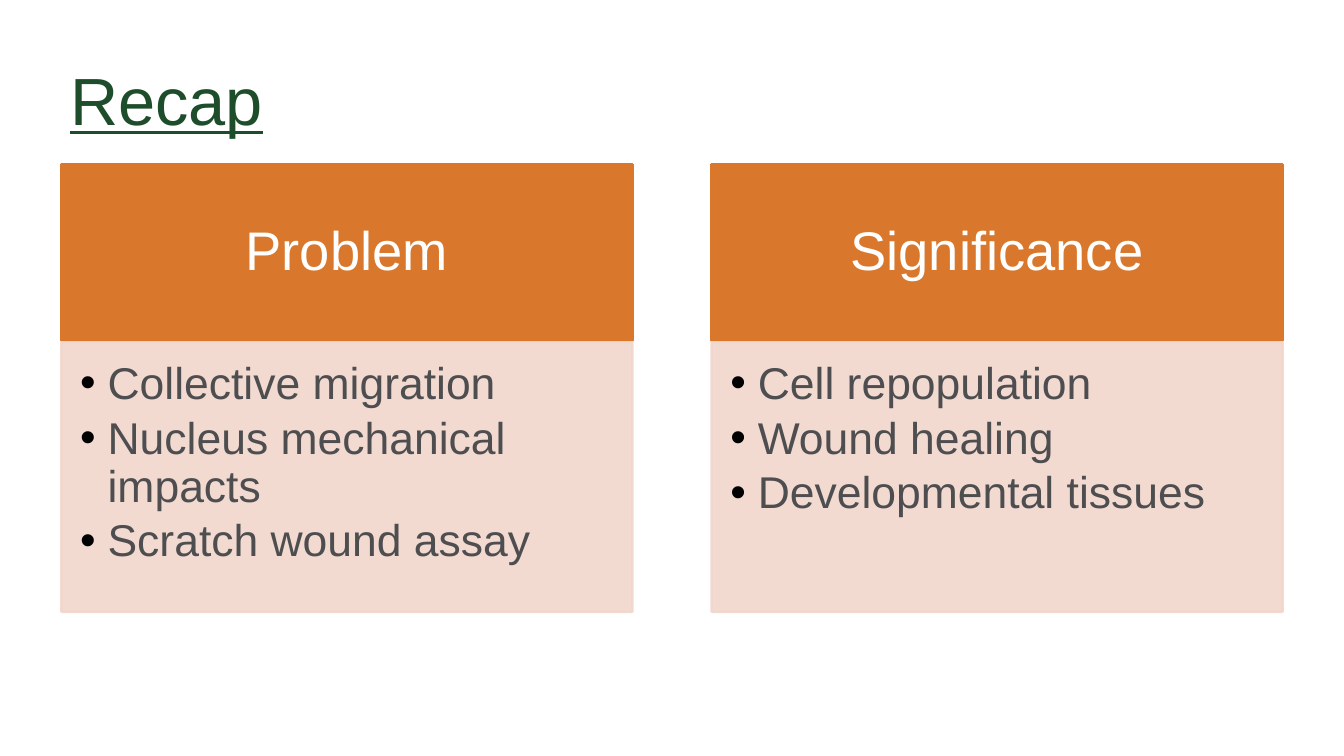
import pptx
import pptx.util
import pptx.dml.color
import pptx.enum.shapes
import pptx.enum.text
import pptx.oxml
import pptx.oxml.ns
from dataclasses import dataclass
from lxml import etree

SCALE = 9144
ALIGN = pptx.enum.text.PP_ALIGN
ANCHOR = pptx.enum.text.MSO_ANCHOR


@dataclass(frozen=True)
class Theme:
    font: str = "Arial"
    green: str = "1E4D2B"
    orange: str = "D9782C"
    pink: str = "F1D6CD"
    white: str = "FFFFFF"
    grey: str = "4E4E50"
    black: str = "000000"
    title: int = 54
    head: int = 44
    body: int = 36
    line: int = 2
    alpha: int = 90


@dataclass(frozen=True)
class Box:
    left: int
    top: int
    width: int
    height: int


@dataclass(frozen=True)
class Card:
    head: str
    items: tuple[str, ...]


THEME = Theme()
LEFT, STEP, WIDTH = 69, 731, 642
CARDS = (
    Card("Problem", ("Collective migration", "Nucleus mechanical impacts", "Scratch wound assay")),
    Card("Significance", ("Cell repopulation", "Wound healing", "Developmental tissues")),
)


def px(size: int) -> pptx.util.Emu:
    return pptx.util.Emu(size * SCALE)


def color(code: str) -> pptx.dml.color.RGBColor:
    return pptx.dml.color.RGBColor.from_string(code)


def style(para, size: int, code: str) -> None:
    for run in para.runs:
        run.font.name = THEME.font
        run.font.size = pptx.util.Pt(size)
        run.font.color.rgb = color(code)


def pad(frame, left: int, top: int, right: int, bottom: int) -> None:
    frame.margin_left, frame.margin_top = px(left), px(top)
    frame.margin_right, frame.margin_bottom = px(right), px(bottom)


def panel(slide, box: Box, code: str, alpha: int = 100):
    shape = slide.shapes.add_shape(
        pptx.enum.shapes.MSO_SHAPE.RECTANGLE,
        px(box.left), px(box.top), px(box.width), px(box.height))
    shape.shadow.inherit = False
    shape.fill.solid()
    shape.fill.fore_color.rgb = color(code)
    shape.line.color.rgb = color(code)
    shape.line.width = pptx.util.Pt(THEME.line)
    if alpha < 100:
        for node in shape.element.spPr.iter(pptx.oxml.ns.qn("a:srgbClr")):
            etree.SubElement(node, pptx.oxml.ns.qn("a:alpha"), val=str(alpha * 1000))
    shape.text_frame.word_wrap = True
    return shape


def bullet(para) -> None:
    props = para._p.get_or_add_pPr()
    props.set("marL", str(px(31)))
    props.set("indent", str(px(-31)))
    tint = etree.SubElement(props, pptx.oxml.ns.qn("a:buClr"))
    etree.SubElement(tint, pptx.oxml.ns.qn("a:srgbClr"), val=THEME.black)
    etree.SubElement(props, pptx.oxml.ns.qn("a:buFont"), typeface=THEME.font)
    etree.SubElement(props, pptx.oxml.ns.qn("a:buChar"), char="•")


def draw_title(slide) -> None:
    title = slide.shapes.title
    title.left, title.top = px(LEFT), px(55)
    title.width, title.height = px(1374), px(111)
    frame = title.text_frame
    frame.text = "Recap"
    frame.word_wrap = True
    frame.auto_size = pptx.enum.text.MSO_AUTO_SIZE.SHAPE_TO_FIT_TEXT
    frame.vertical_anchor = ANCHOR.BOTTOM
    pad(frame, 10, 10, 10, 10)
    para = frame.paragraphs[0]
    para.alignment = ALIGN.LEFT
    style(para, THEME.title, THEME.green)
    para.runs[0].font.underline = True


def draw_card(slide, card: Card, left: int) -> None:
    frame = panel(slide, Box(left, 185, WIDTH, 198), THEME.orange).text_frame
    frame.text = card.head
    frame.vertical_anchor = ANCHOR.MIDDLE
    pad(frame, 34, 20, 34, 20)
    para = frame.paragraphs[0]
    para.alignment = ALIGN.CENTER
    para.line_spacing = 0.9
    style(para, THEME.head, THEME.white)

    frame = panel(slide, Box(left, 385, WIDTH, 303), THEME.pink, THEME.alpha).text_frame
    frame.text = "\n".join(card.items)
    frame.vertical_anchor = ANCHOR.TOP
    pad(frame, 21, 21, 28, 32)
    for para in frame.paragraphs:
        bullet(para)
        para.level = 1
        para.alignment = ALIGN.LEFT
        para.line_spacing = 0.9
        para.space_after = pptx.util.Pt(5.4)
        style(para, THEME.body, THEME.grey)


def main() -> None:
    deck = pptx.Presentation()
    deck.slide_width, deck.slide_height = px(1511), px(850)
    slide = deck.slides.add_slide(deck.slide_layouts[5])
    draw_title(slide)
    for index, card in enumerate(CARDS):
        draw_card(slide, card, LEFT + index * STEP)
    deck.save("out.pptx")


if __name__ == "__main__":
    main()
